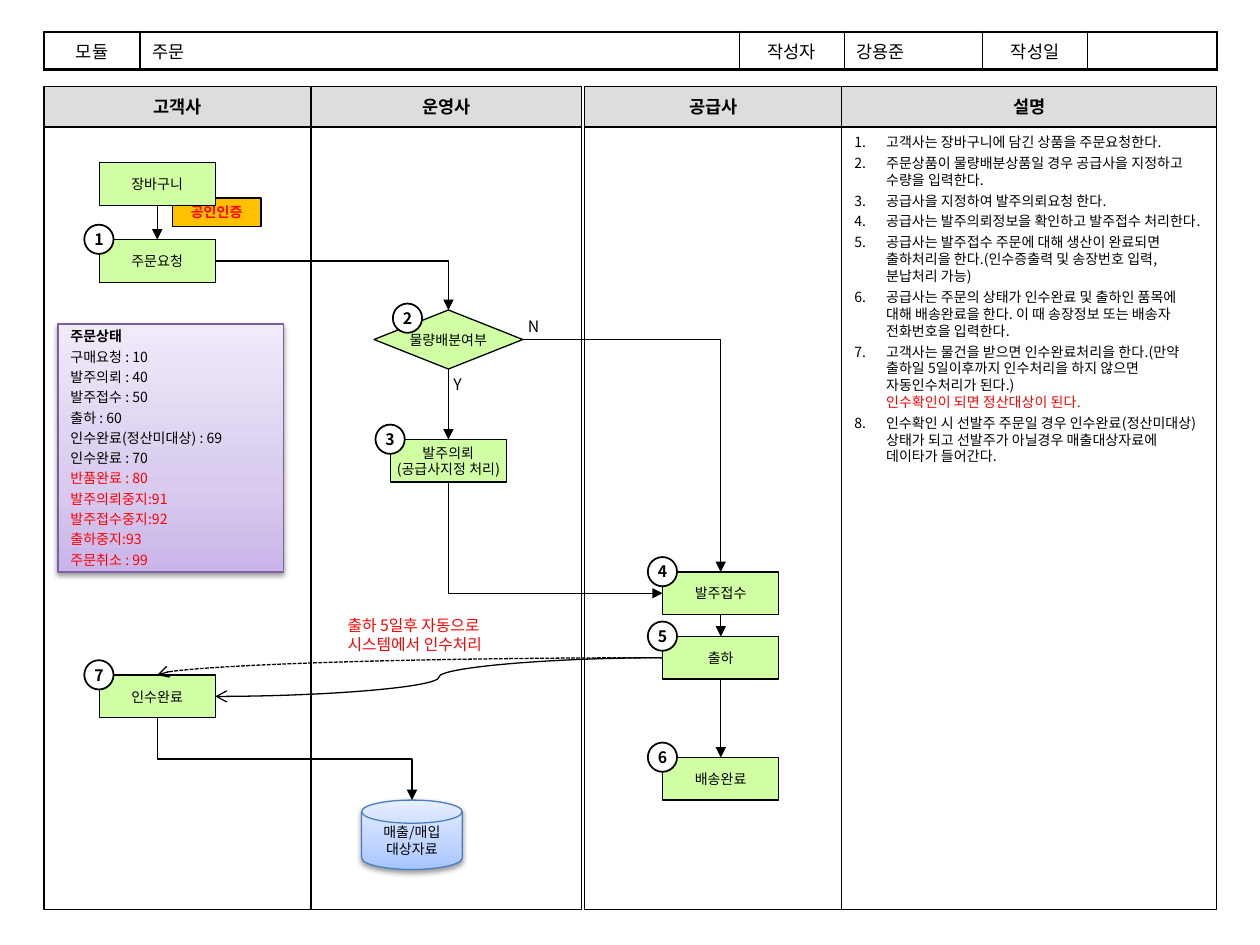
"""Build the order process flow slide with its swim lanes and notes."""
import copy
import lxml.etree
import pptx
import pptx.dml.color
import pptx.enum.dml
import pptx.enum.shapes
import pptx.enum.text
import pptx.oxml
import pptx.oxml.ns
import pptx.util

Cm, Pt = pptx.util.Cm, pptx.util.Pt
RGB = pptx.dml.color.RGBColor.from_string
qn = pptx.oxml.ns.qn
Kind = pptx.enum.shapes.MSO_SHAPE
Path = pptx.enum.shapes.MSO_CONNECTOR
Align = pptx.enum.text.PP_ALIGN
Mid = pptx.enum.text.MSO_ANCHOR.MIDDLE
FONT = "Noto Sans CJK KR"
HUE = {"ink": "000000", "red": "FF0000", "head": "DDDDDD", "step": "D1FFA3",
       "cert": "FFC000", "white": "FFFFFF", "disk": "4B7EBC", "state": "7D60A0"}
TOP, LEFT, BOTTOM, RIGHT = range(4)


def write(para, text, size, hue="ink", bold=False, align=Align.CENTER, gap=0):
    para.text = text
    para.alignment = align
    para.space_before = Pt(gap)
    font = para.font
    font.name, font.size, font.bold = FONT, Pt(size), bold
    font.color.rgb = RGB(HUE[hue])
    base = para._p.pPr.find(qn("a:defRPr"))
    lxml.etree.SubElement(base, qn("a:ea")).set("typeface", FONT)


def link(start, exit, end, entry, route=Path.STRAIGHT, preset=None, head="triangle", dash=None):
    line = slide.shapes.add_connector(route, 0, 0, 0, 0)
    line.begin_connect(start, exit)
    line.end_connect(end, entry)
    line.line.width = Pt(0.75)
    line.line.color.rgb = RGB(HUE["ink"])
    line.line.dash_style = dash
    props = line.element.spPr
    if preset:
        props.find(qn("a:prstGeom")).set("prst", preset)
    if exit == BOTTOM and route == Path.ELBOW:
        wide, high = line.width, line.height
        line.left += (wide - high) // 2
        line.top += (high - wide) // 2
        line.width, line.height = high, wide
        props.xfrm.set("rot", "16200000")
        props.xfrm.flipH, props.xfrm.flipV = True, False
    tip = lxml.etree.SubElement(props.find(qn("a:ln")), qn("a:tailEnd"))
    tip.set("type", head)
    lxml.etree.SubElement(props, qn("a:effectLst"))
    return line


deck = pptx.Presentation()
deck.slide_width, deck.slide_height = Cm(25.4), Cm(19.05)
slide = deck.slides.add_slide(deck.slide_layouts[1])
title = slide.shapes.title.element
title.getparent().remove(title)

notes = ["고객사는 장바구니에 담긴 상품을 주문요청한다.",
         "주문상품이 물량배분상품일 경우 공급사을 지정하고 수량을 입력한다.",
         "공급사을 지정하여 발주의뢰요청 한다.",
         "공급사는 발주의뢰정보을 확인하고 발주접수 처리한다.",
         "공급사는 발주접수 주문에 대해 생산이 완료되면 출하처리을 한다."
         "(인수증출력 및 송장번호 입력, 분납처리 가능)",
         "공급사는 주문의 상태가 인수완료 및 출하인 품목에 대해 배송완료을 한다. "
         "이 때 송장정보 또는 배송자 전화번호을 입력한다.",
         "고객사는 물건을 받으면 인수완료처리을 한다.(만약 출하일 5일이후까지 "
         "인수처리을 하지 않으면 자동인수처리가 된다.)\v",
         "인수확인 시 선발주 주문일 경우 인수완료(정산미대상)상태가 되고 "
         "선발주가 아닐경우 매출대상자료에 데이타가 들어간다."]
body = slide.placeholders[1]
body.left, body.top, body.width, body.height = Cm(16.97), Cm(2.56), Cm(7.55), Cm(15.77)
body.line.color.rgb = RGB(HUE["ink"])
body.line.width = Pt(0.75)
frame = body.text_frame
frame.auto_size = pptx.enum.text.MSO_AUTO_SIZE.NONE
for i, note in enumerate(notes):
    para = frame.paragraphs[0] if i == 0 else frame.add_paragraph()
    write(para, note, 8, align=Align.LEFT, gap=2.4)
    props = para._p.pPr
    props.set("marL", str(Cm(0.64)))
    props.set("indent", str(-Cm(0.64)))
    mark = pptx.oxml.parse_xml(
        '<a:buAutoNum xmlns:a="http://schemas.openxmlformats.org/drawingml/2006/main" type="arabicPeriod"/>')
    props.find(qn("a:defRPr")).addprevious(mark)
    if note.endswith("\v"):
        run = para.add_run()
        run.text = "인수확인이 되면 정산대상이 된다."
        run.font.color.rgb = RGB(HUE["red"])

grid = slide.shapes.add_table(1, 6, Cm(0.89), Cm(0.64), Cm(23.65), Cm(0.64)).table
grid.first_row = grid.horz_banding = False
cells = [("모듈", 1.93), ("주문", 12.09), ("작성자", 2.11),
         ("강용준", 2.79), ("작성일", 2.11), ("", 2.62)]
for i, (text, wide) in enumerate(cells):
    grid.columns[i].width = Cm(wide)
    cell = grid.cell(0, i)
    cell.vertical_anchor = Mid
    write(cell.text_frame.paragraphs[0], text, 10, align=Align.LEFT if i % 2 else Align.CENTER)
    outer = {"L": i == 0, "R": i == 5, "T": True, "B": True}
    for side, thick in outer.items():
        edge = lxml.etree.SubElement(cell._tc.get_or_add_tcPr(), qn("a:ln" + side))
        edge.set("w", str(Pt(1.5 if thick else 1)))
        paint = lxml.etree.SubElement(edge, qn("a:solidFill"))
        lxml.etree.SubElement(paint, qn("a:srgbClr")).set("val", HUE["ink"])
    cell.fill.background()

lanes = [("고객사", 0.89, 5.38), ("운영사", 6.27, 5.46), ("공급사", 11.79, 5.18), ("설명", 16.97, 7.55)]
steps = [("cart", 2, 3.28, "장바구니", None), ("order", 2, 4.83, "주문요청", "1"),
         ("ask", 7.87, 8.86, "발주의뢰\v(공급사지정 처리)", "3"),
         ("take", 13.36, 11.53, "발주접수", "4"), ("ship", 13.36, 12.83, "출하", "5"),
         ("send", 13.36, 15.27, "배송완료", "6"), ("got", 2, 13.61, "인수완료", "7")]
items = []
for name, left, wide in lanes:
    items.append((name, Kind.RECTANGLE, left, 1.75, wide, 0.81, name, "head", 10, True, 0.75))
    if name != "설명":
        items.append(("lane", Kind.RECTANGLE, left, 2.56, wide, 15.77, "", None, 10, False, 0.75))
items.append(("cert", Kind.RECTANGLE, 3.48, 3.99, 1.78, 0.58, "공인인증", "cert", 8, True, 1))
items.append(("split", Kind.FLOWCHART_DECISION, 7.54, 6.25, 3, 1.19, "물량배분여부", "step", 8, False, 0.75))
for name, left, top, text, mark in steps:
    items.append((name, Kind.RECTANGLE, left, top, 2.34, 0.86, text, "step", 8, False, 0.75))
badges = [(left - 0.3, top - 0.3, mark) for name, left, top, text, mark in steps if mark]
for left, top, mark in badges + [(7.92, 6.12, "2")]:
    items.append((mark, Kind.OVAL, left, top, 0.59, 0.59, mark, "white", 9, True, 1))
items.append(("disk", Kind.FLOWCHART_MAGNETIC_DISK, 7.29, 16.13, 2.03, 1.4,
              "매출/매입\v대상자료", None, 8, False, 0.75))
items.append(("state", Kind.RECTANGLE, 1.17, 6.53, 4.55, 5, "", None, 8, False, 0.75))

made = {}
for name, kind, left, top, wide, high, text, fill, size, bold, thick in items:
    shape = slide.shapes.add_shape(kind, Cm(left), Cm(top), Cm(wide), Cm(high))
    shape.shadow.inherit = False
    if fill:
        shape.fill.solid()
        shape.fill.fore_color.rgb = RGB(HUE[fill])
    else:
        shape.fill.background()
    shape.line.color.rgb = RGB(HUE["ink"])
    shape.line.width = Pt(thick)
    frame = shape.text_frame
    frame.word_wrap = False
    frame.vertical_anchor = Mid
    if text:
        write(frame.paragraphs[0], text, size, "red" if name == "cert" else "ink", bold)
    made[name] = shape

fades = {"disk": ("A4C4FF", "BFD4FF", "E6EEFF"), "state": ("C9B5E8", "D8CBEE", "F0EAF9")}
for name, tones in fades.items():
    shape = made[name]
    shape.line.color.rgb = RGB(HUE[name])
    shape.fill.gradient()
    shape.fill.gradient_angle = 90
    props = shape.element.spPr
    stops = props.find(qn("a:gradFill")).find(qn("a:gsLst"))
    stops.append(copy.deepcopy(stops[-1]))
    for stop, tone, place in zip(shape.fill.gradient_stops, tones, (0, 0.35, 1)):
        stop.color.rgb = RGB(tone)
        stop.position = place
    glow = lxml.etree.SubElement(props.find(qn("a:effectLst")), qn("a:outerShdw"))
    for key, value in (("blurRad", Pt(3.1)), ("dist", Pt(1.6)), ("dir", 5400000), ("rotWithShape", 0)):
        glow.set(key, str(value))
    shade = lxml.etree.SubElement(glow, qn("a:srgbClr"))
    shade.set("val", HUE["ink"])
    lxml.etree.SubElement(shade, qn("a:alpha")).set("val", "38000")

states = ["주문상태", "구매요청 : 10", "발주의뢰 : 40", "발주접수 : 50", "출하 : 60",
          "인수완료(정산미대상) : 69", "인수완료 : 70", "반품완료 : 80", "발주의뢰중지:91",
          "발주접수중지:92", "출하중지:93", "주문취소 : 99"]
frame = made["state"].text_frame
for i, text in enumerate(states):
    para = frame.paragraphs[0] if i == 0 else frame.add_paragraph()
    write(para, text, 8, "red" if i > 6 else "ink", i == 0, Align.LEFT, 2)

labels = [("N", 10.39, 6.27, 0.71, 0.64, "ink"), ("Y", 8.89, 7.44, 0.71, 0.64, "ink"),
          ("출하 5일후 자동으로\v시스템에서 인수처리", 6.76, 12.29, 4.52, 1.02, "red")]
for text, left, top, wide, high, hue in labels:
    box = slide.shapes.add_textbox(Cm(left), Cm(top), Cm(wide), Cm(high))
    box.text_frame.word_wrap = True
    write(box.text_frame.paragraphs[0], text, 9, hue, align=Align.LEFT)

for start, end in (("cart", "order"), ("split", "ask"), ("take", "ship"), ("ship", "send")):
    link(made[start], BOTTOM, made[end], TOP)
for start, exit, end, entry in (("order", RIGHT, "split", TOP), ("split", RIGHT, "take", TOP),
                                ("ask", BOTTOM, "take", LEFT)):
    link(made[start], exit, made[end], entry, Path.ELBOW, "bentConnector2")
sale = link(made["got"], BOTTOM, made["disk"], TOP, Path.ELBOW)
sale.element.find(".//" + qn("a:endCxn")).set("idx", "1")
link(made["ship"], LEFT, made["got"], RIGHT, Path.CURVE, head="arrow")
link(made["ship"], LEFT, made["got"], TOP, Path.CURVE, "curvedConnector2", "arrow",
     pptx.enum.dml.MSO_LINE.SQUARE_DOT)

deck.save("out.pptx")
